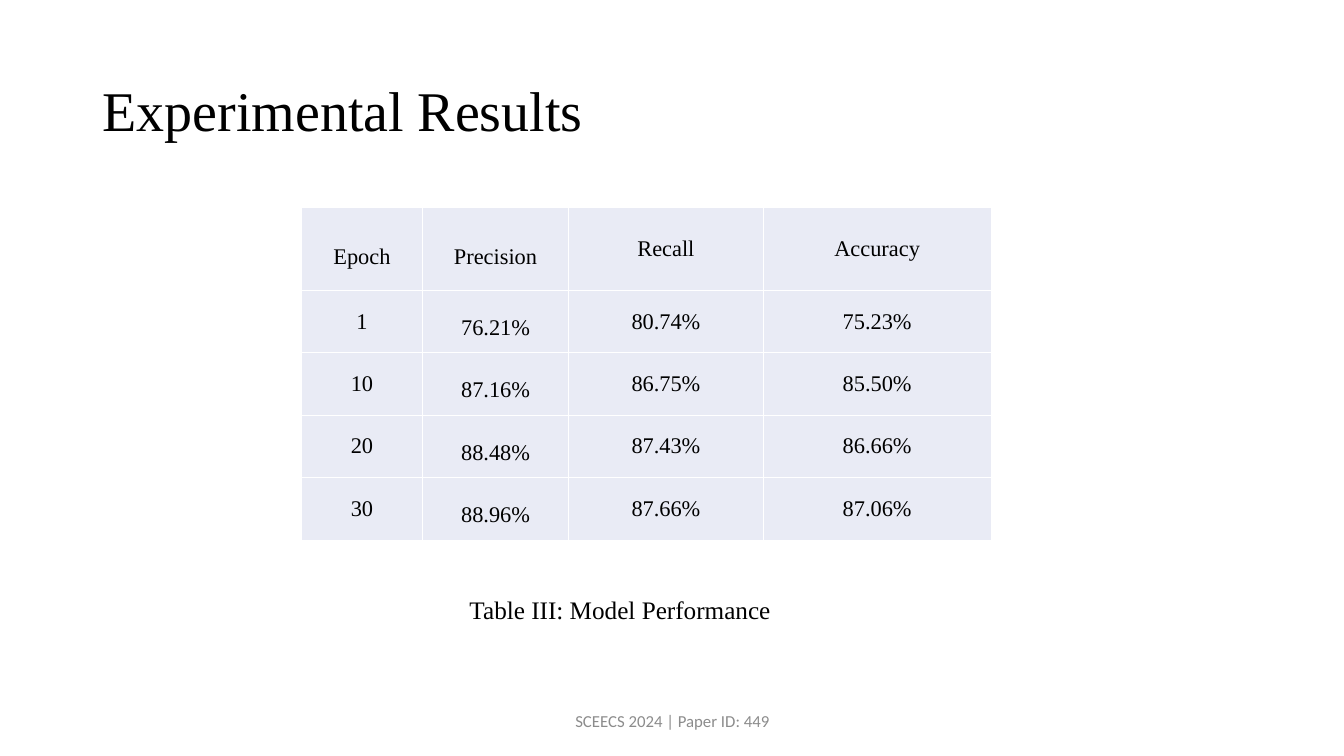
from pptx import Presentation
from pptx import util as u
from pptx.dml.color import RGBColor
from pptx.enum import text
from pptx.oxml import parse_xml
from pptx.oxml.ns import nsdecls

PX = 9144
ROWS = [
    ["Epoch", "Precision", "Recall", "Accuracy"],
    ["1", "76.21%", "80.74%", "75.23%"],
    ["10", "87.16%", "86.75%", "85.50%"],
    ["20", "88.48%", "87.43%", "86.66%"],
    ["30", "88.96%", "87.66%", "87.06%"],
]
COLUMN_WIDTHS = [120, 145, 193, 226]
ROW_HEIGHTS = [82, 62, 62, 62, 62]


def color(value):
    return RGBColor.from_string(value)


class ResultsSlide:
    """Draws text and tables on one slide in a shared style."""

    serif = "Times New Roman"
    ink = "000000"
    cell_fill = "E9EBF5"
    border = "FFFFFF"

    def __init__(self, deck):
        self.page = deck.slides.add_slide(deck.slide_layouts[6])

    def set_words(self, frame, words, size, font=None, ink=None, align="CENTER", spacing=1.0):
        frame.text = words
        para = frame.paragraphs[0]
        para.alignment = text.PP_ALIGN[align]
        para.line_spacing = spacing
        span = para.runs[0]
        span.font.size = u.Pt(size)
        span.font.name = font or self.serif
        span.font.color.rgb = color(ink or self.ink)

    def label(self, bounds, words, size, anchor="MIDDLE", **style):
        box = self.page.shapes.add_textbox(*(side * PX for side in bounds))
        frame = box.text_frame
        frame.word_wrap = True
        frame.vertical_anchor = text.MSO_ANCHOR[anchor]
        self.set_words(frame, words, size, **style)

    def outline(self, cell):
        properties = cell._tc.get_or_add_tcPr()
        for position, side in enumerate(("lnL", "lnR", "lnT", "lnB")):
            properties.insert(position, parse_xml(
                f'<a:{side} {nsdecls("a")} w="12700"><a:solidFill>'
                f'<a:srgbClr val="{self.border}"/></a:solidFill></a:{side}>'))

    def table(self, left, top, rows, widths, heights):
        grid = self.page.shapes.add_table(
            len(rows), len(widths), left * PX, top * PX,
            sum(widths) * PX, sum(heights) * PX).table
        for column, width in zip(grid.columns, widths):
            column.width = width * PX
        for row, height in zip(grid.rows, heights):
            row.height = height * PX
        for r, values in enumerate(rows):
            for c, value in enumerate(values):
                self.cell(grid.cell(r, c), value, self.cell_spacing(r, c))

    def cell_spacing(self, row, column):
        if row == 0 and column < 2:
            return 2.5
        return 2.0 if column == 1 else 1.0

    def cell(self, cell, value, spacing):
        cell.margin_left = cell.margin_right = 7 * PX
        cell.margin_top = cell.margin_bottom = 0
        anchors = text.MSO_ANCHOR
        cell.vertical_anchor = anchors.TOP if spacing > 1 else anchors.MIDDLE
        cell.fill.solid()
        cell.fill.fore_color.rgb = color(self.cell_fill)
        self.outline(cell)
        self.set_words(cell.text_frame, value, 16, spacing=spacing)


def main():
    deck = Presentation()
    deck.slide_width, deck.slide_height = 1333 * PX, 750 * PX
    slide = ResultsSlide(deck)
    slide.label((92, 40, 1150, 145), "Experimental Results", 40, align="LEFT", spacing=0.9)
    slide.label((442, 695, 450, 40), "SCEECS 2024 | Paper ID: 449", 12, font="Calibri", ink="8C8C8C")
    slide.table(299, 206, ROWS, COLUMN_WIDTHS, ROW_HEIGHTS)
    slide.label((439, 585, 352, 40), "Table III: Model Performance", 18, anchor="TOP")
    deck.save("out.pptx")


if __name__ == "__main__":
    main()
